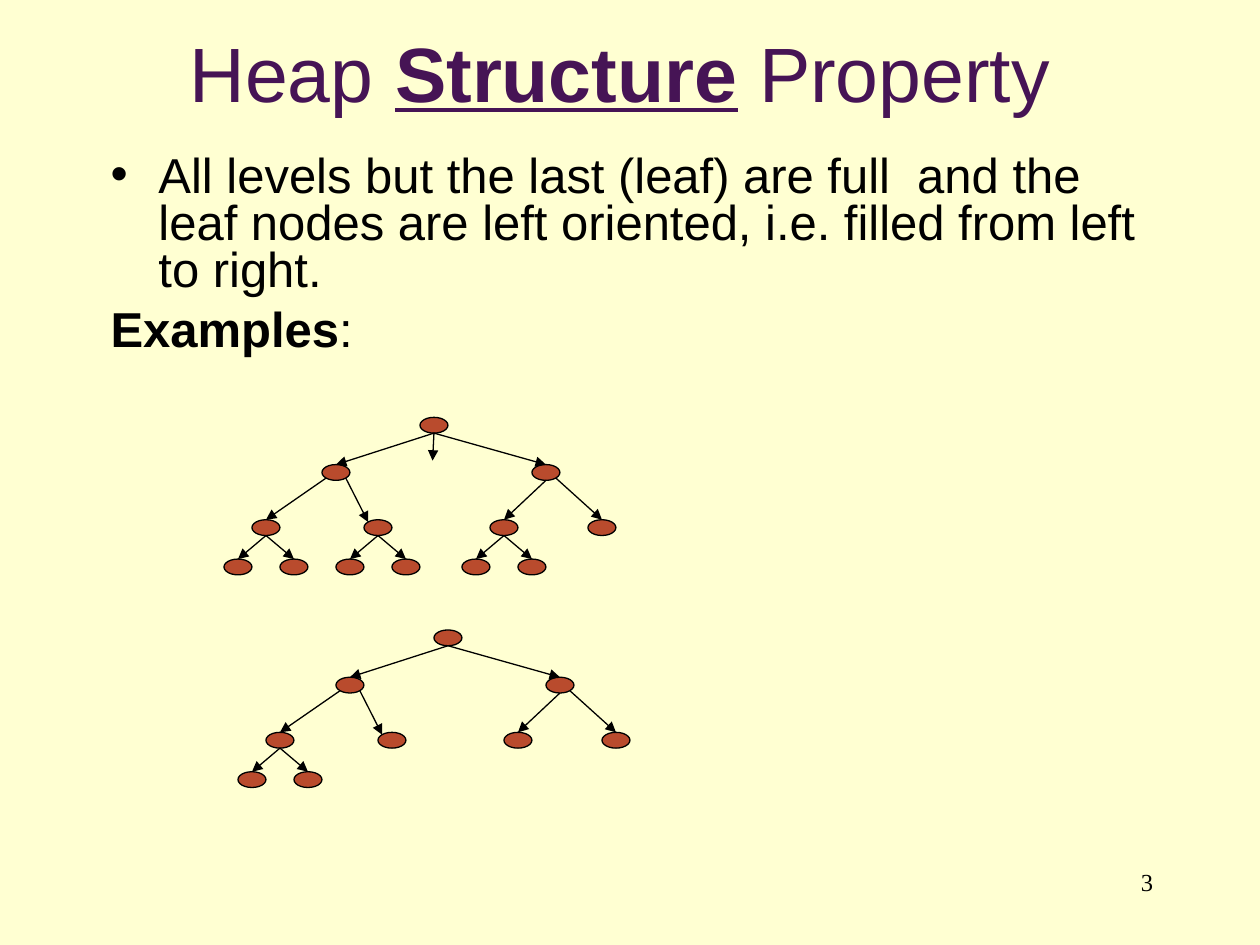
import pptx
import pptx.util
import pptx.dml.color
import pptx.enum.shapes
import pptx.enum.text
import pptx.oxml
import pptx.oxml.ns
from lxml import etree

COL = pptx.util.Inches(1) / 9
ROW = pptx.util.Inches(1) / 16
ALIGN = pptx.enum.text.PP_ALIGN
INK = "000000"
qn = pptx.oxml.ns.qn


def paint(color, value):
    """Set a fill's or font's colour from a hex string."""
    color.rgb = pptx.dml.color.RGBColor.from_string(value)


def arrow(x1, y1, x2, y2):
    """Draw an arrow between two points given in columns and rows."""
    c = s.shapes.add_connector(
        pptx.enum.shapes.MSO_CONNECTOR.STRAIGHT,
        *[round(v) for v in (x1 * COL, y1 * ROW, x2 * COL, y2 * ROW)])
    c.line.width = pptx.util.Pt(0.75)
    paint(c.line.color, INK)
    etree.SubElement(c.line._get_or_add_ln(), qn("a:tailEnd"), type="triangle")
    etree.SubElement(c._element.spPr, qn("a:effectLst"))


prs = pptx.Presentation()
prs.slide_width, prs.slide_height = pptx.util.Inches(10), pptx.util.Inches(7.5)
s = prs.slides.add_slide(prs.slide_layouts[6])
s.background.fill.solid()
paint(s.background.fill.fore_color, "FFFFD2")

# Texts: box in inches, anchor, font, colour, paragraph format, paragraphs of runs
title_font = {"name": "Arial", "size": pptx.util.Pt(44)}
body_font = {"name": "Arial", "size": pptx.util.Pt(28)}
page_font = {"name": "Times New Roman", "size": pptx.util.Pt(14)}
body_format = {"line_spacing": 0.8, "space_before": pptx.util.Pt(7)}
TOP, MIDDLE = pptx.enum.text.MSO_ANCHOR.TOP, pptx.enum.text.MSO_ANCHOR.MIDDLE
texts = [
    ((0.67, 0.19, 8.5, 0.75), MIDDLE, title_font, "461455",
     {"alignment": ALIGN.CENTER},
     [[("Heap ", {}), ("Structure", {"bold": True, "underline": True}),
       (" Property", {})]]),
    ((0.78, 1.19, 8.5, 5.4), TOP, body_font, INK, body_format,
     [[("All levels but the last (leaf) are full  and the leaf nodes are "
        "left oriented, i.e. filled from left to right.", {})],
      [("Examples", {"bold": True}), (":", {})]]),
    ((7.17, 6.83, 2.08, 0.5), TOP, page_font, INK,
     {"alignment": ALIGN.RIGHT}, [[("3", {})]]),
]
boxes = []
for box, anchor, font, color, layout, paragraphs in texts:
    sp = s.shapes.add_textbox(*[pptx.util.Inches(v) for v in box])
    boxes.append(sp)
    tf = sp.text_frame
    tf.word_wrap = True
    tf.vertical_anchor = anchor
    for i, runs in enumerate(paragraphs):
        p = tf.add_paragraph() if i else tf.paragraphs[0]
        for name, value in layout.items():
            setattr(p, name, value)
        for text, extra in runs:
            r = p.add_run()
            r.text = text
            paint(r.font.color, color)
            for name, value in {**font, **extra}.items():
                setattr(r.font, name, value)

# Hanging indent for the body, bullet on its first paragraph
for i, p in enumerate(boxes[1].text_frame.paragraphs):
    pPr = p._p.get_or_add_pPr()
    pPr.set("marL", str(pptx.util.Inches(0.38)))
    pPr.set("indent", str(-pptx.util.Inches(0.38)))
    if i == 0:
        etree.SubElement(pPr, qn("a:buFont"), typeface="Arial")
        etree.SubElement(pPr, qn("a:buChar"), char="•")
    else:
        etree.SubElement(pPr, qn("a:buNone"))

# Trees: nodes are 2 columns by 2 rows, named by their heap index
node_cols = [31, 24, 39, 19, 27, 36, 43, 17, 21, 25, 29, 34, 38]
level_rows = [53, 59, 66, 71]
DIAG = 0.7  # share of the radius at an ellipse's diagonal points
exits = {3: -DIAG, 4: DIAG, 6: DIAG}  # children whose arrow leaves sideways
for count, dx, dy in [(13, 0, 0), (9, 1, 27)]:
    nodes = [(node_cols[i] + dx, level_rows[(i + 1).bit_length() - 1] + dy)
             for i in range(count)]
    for x, y in nodes:
        sp = s.shapes.add_shape(
            pptx.enum.shapes.MSO_SHAPE.OVAL, round((x - 1) * COL),
            round(y * ROW), round(2 * COL), round(2 * ROW))
        sp.shadow.inherit = False
        sp.fill.solid()
        paint(sp.fill.fore_color, "B94B2D")
        paint(sp.line.color, INK)
        sp.line.width = pptx.util.Pt(0.75)
    for i, (x, y) in enumerate(nodes[1:], 1):
        px, py = nodes[(i - 1) // 2]
        side = exits.get(i, 0)
        start = (px + side, py + (1 + DIAG if side else 2))
        end = (x - DIAG, y + 1 - DIAG) if i == 4 else (x, y)
        arrow(*start, *end)

# Short stray arrow below the first root
arrow(31, 55, 30.9, 58.5)

prs.save("out.pptx")
